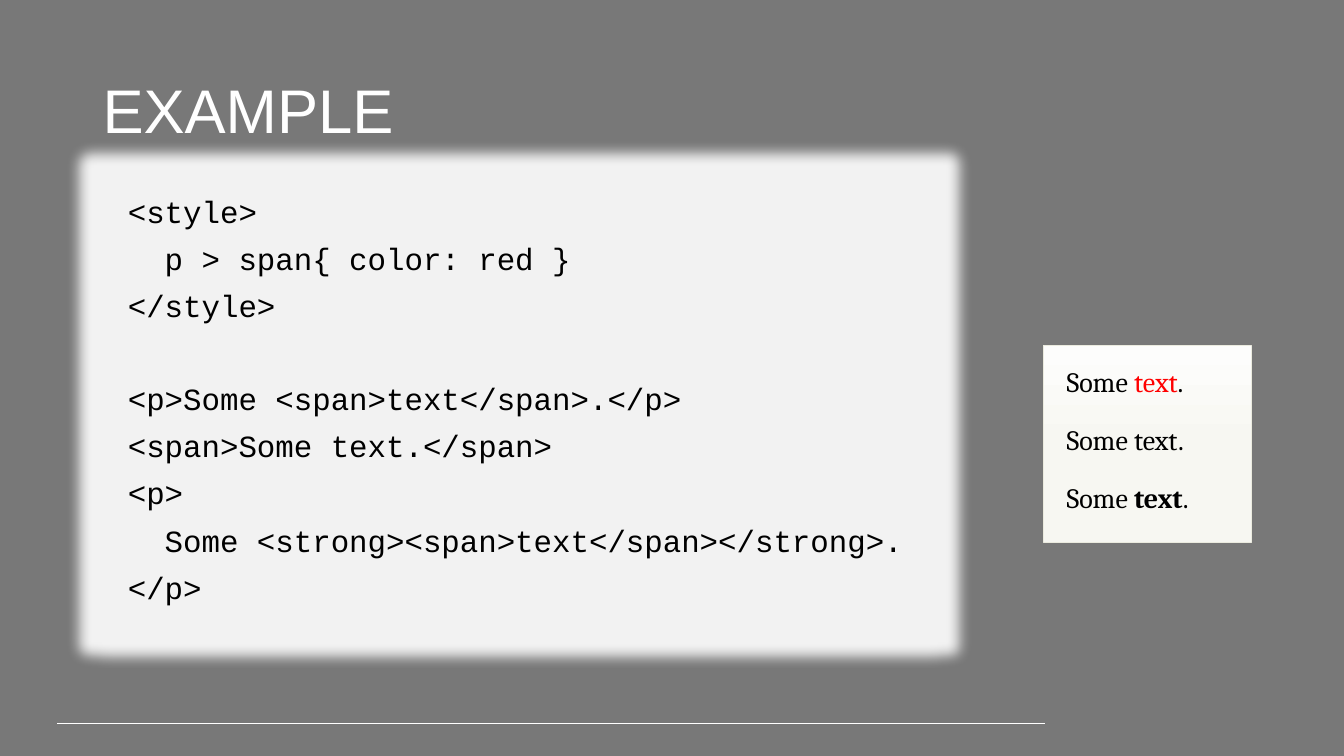
from lxml import etree
from pptx import Presentation
from pptx import util as u
from pptx.dml.color import RGBColor
from pptx.enum import shapes, text
from pptx.oxml.ns import qn

BACKGROUND = RGBColor(0x78, 0x78, 0x78)
WHITE = RGBColor(0xFF, 0xFF, 0xFF)
BLACK = RGBColor(0x00, 0x00, 0x00)
RED = RGBColor(0xFF, 0x00, 0x00)
CODE_FILL = RGBColor(0xF2, 0xF2, 0xF2)
RESULT_BORDER = RGBColor(0xEB, 0xEB, 0xDF)
RESULT_TOP = RGBColor(0xFD, 0xFD, 0xFC)
RESULT_MIDDLE = RGBColor(0xF7, 0xF7, 0xF2)
RESULT_BOTTOM = RGBColor(0xF6, 0xF6, 0xF0)

CODE_BLOCKS = [
    ["<style>", "  p > span{ color: red }", "</style>"],
    [
        "<p>Some <span>text</span>.</p>",
        "<span>Some text.</span>",
        "<p>",
        "  Some <strong><span>text</span></strong>.",
        "</p>",
    ],
]
RESULT_LINES = [
    [("Some ", BLACK, False), ("text", RED, False), (".", BLACK, False)],
    [("Some text.", BLACK, False)],
    [("Some ", BLACK, False), ("text", BLACK, True), (".", BLACK, False)],
]


def set_font(font, name, size, color):
    font.name = name
    font.size = u.Pt(size)
    font.color.rgb = color


def add_panel(slide, left, top, width, height):
    panel = slide.shapes.add_shape(
        shapes.MSO_SHAPE.RECTANGLE,
        u.Inches(left), u.Inches(top), u.Inches(width), u.Inches(height))
    panel.shadow.inherit = False
    return panel


def add_text_frame(slide, left, top, width, height):
    frame = slide.shapes.add_textbox(
        u.Inches(left), u.Inches(top), u.Inches(width), u.Inches(height)).text_frame
    frame.word_wrap = True
    return frame


def add_footer_rule(slide, left, top, width):
    rule = slide.shapes.add_connector(
        shapes.MSO_CONNECTOR.STRAIGHT,
        u.Inches(left), u.Inches(top), u.Inches(left + width), u.Inches(top))
    rule.line.color.rgb = WHITE
    rule.line.width = u.Pt(0.75)
    etree.SubElement(rule._element.spPr, qn("a:effectLst"))


def add_title(slide, left, top, width, height):
    frame = add_text_frame(slide, left, top, width, height)
    frame.vertical_anchor = text.MSO_ANCHOR.MIDDLE
    heading = frame.paragraphs[0]
    heading.text = "EXAMPLE"
    heading.line_spacing = 0.9
    set_font(heading.font, "Arial", 44, WHITE)


def add_glow(panel, color, radius):
    effects = panel._element.spPr.find(qn("a:effectLst"))
    glow = etree.SubElement(effects, qn("a:glow"), rad=str(u.Pt(radius)))
    etree.SubElement(glow, qn("a:srgbClr"), val=str(color))


def add_code(slide, left, top, width, height):
    panel = add_panel(slide, left, top, width, height)
    panel.fill.solid()
    panel.fill.fore_color.rgb = CODE_FILL
    panel.line.fill.background()
    add_glow(panel, CODE_FILL, 18)
    frame = panel.text_frame
    frame.word_wrap = True
    frame.vertical_anchor = text.MSO_ANCHOR.TOP
    for block_index, block in enumerate(CODE_BLOCKS):
        for line_index, code in enumerate(block):
            first = block_index == line_index == 0
            line = frame.paragraphs[0] if first else frame.add_paragraph()
            line.text = code
            line.alignment = text.PP_ALIGN.LEFT
            line.line_spacing = 0.9
            if not first:
                line.space_before = u.Pt(10 if line_index else 42.4)
            set_font(line.font, "Courier New", 22, BLACK)


def add_result(slide, left, top, width, height):
    panel = add_panel(slide, left, top, width, height)
    panel.line.color.rgb = RESULT_BORDER
    panel.line.width = u.Pt(0.5)
    panel.fill.gradient()
    panel.fill.gradient_angle = 270
    stops = panel.fill._fill._gradFill.gsLst
    for stop in list(stops):
        stops.remove(stop)
    for position, color in ((0, RESULT_TOP), (50, RESULT_MIDDLE), (100, RESULT_BOTTOM)):
        stop = etree.SubElement(stops, qn("a:gs"), pos=str(position * 1000))
        etree.SubElement(stop, qn("a:srgbClr"), val=str(color))

    for index, pieces in enumerate(RESULT_LINES):
        frame = add_text_frame(
            slide, left + 0.13, top + 0.14 + index * 0.575, width - 0.25, 0.44)
        sentence = frame.paragraphs[0]
        for words, color, bold in pieces:
            run = sentence.add_run()
            run.text = words
            set_font(run.font, "Cambria", 20, color)
            run.font.bold = bold


def main():
    deck = Presentation()
    deck.slide_width = u.Inches(13.33)
    deck.slide_height = u.Inches(7.5)
    slide = deck.slides.add_slide(deck.slide_layouts[6])
    slide.background.fill.solid()
    slide.background.fill.fore_color.rgb = BACKGROUND
    add_footer_rule(slide, 0.57, 7.18, 9.79)
    add_title(slide, 0.92, 0.4, 11.5, 1.45)
    add_code(slide, 1.17, 1.9, 7.97, 4.22)
    add_result(slide, 10.35, 3.43, 2.06, 1.95)
    deck.save("out.pptx")


if __name__ == "__main__":
    main()
